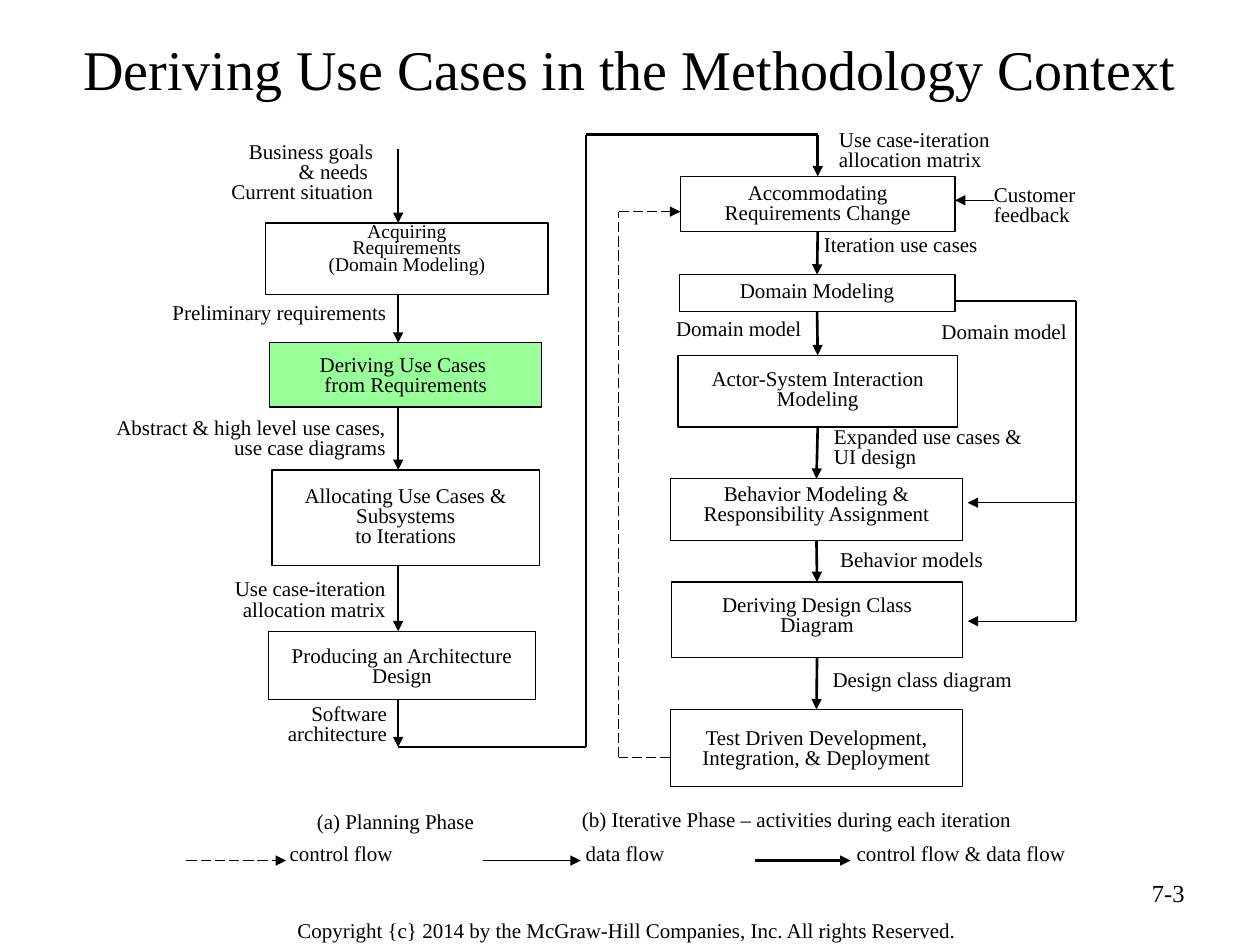
from lxml.etree import SubElement
from pptx import Presentation
from pptx.dml.color import RGBColor
from pptx.enum.dml import MSO_LINE
from pptx.enum.shapes import MSO_CONNECTOR, MSO_SHAPE
from pptx.enum.text import MSO_ANCHOR, PP_ALIGN
from pptx.oxml.ns import qn
from pptx.util import Inches, Pt

FONT = "Times New Roman"
BLACK, WHITE, GREEN = "000000", "FFFFFF", "99FF99"
LEFT, CENTER, RIGHT = PP_ALIGN.LEFT, PP_ALIGN.CENTER, PP_ALIGN.RIGHT
THIN, THICK = 0.75, 1.5
PLAN_X, ITER_X = 3.16, 6.49  # arrow axis of each phase
RETURN_X, LOOP_X, MODEL_X = 4.65, 4.91, 8.54  # vertical runs of the side routes

# text, left, top, width, height, top inset, fill, size, spacing
PLANNING = [
    ("Acquiring\nRequirements\n(Domain Modeling)", 2.11, 1.77, 2.24, 0.57, 0.02, WHITE, 11.1, 0.7),
    ("Deriving Use Cases \nfrom Requirements", 2.14, 2.72, 2.16, 0.51, 0.11, GREEN, 12, 0.8),
    ("Allocating Use Cases & Subsystems\nto Iterations", 2.16, 3.73, 2.12, 0.76, 0.14, WHITE, 12, 0.8),
    ("Producing an Architecture Design", 2.13, 5.01, 2.12, 0.54, 0.13, WHITE, 12, 0.8),
]
ITERATIVE = [
    ("Accommodating\nRequirements Change", 5.4, 1.4, 2.18, 0.44, 0.06, WHITE, 12, 0.8),
    ("Domain Modeling", 5.39, 2.18, 2.19, 0.29, 0.06, WHITE, 12, 0.8),
    ("Actor-System Interaction Modeling", 5.38, 2.82, 2.22, 0.57, 0.12, WHITE, 12, 0.8),
    ("Behavior Modeling &\nResponsibility Assignment", 5.32, 3.8, 2.32, 0.49, 0.05, WHITE, 12, 0.8),
    ("Deriving Design Class\nDiagram", 5.33, 4.62, 2.31, 0.6, 0.11, WHITE, 12, 0.8),
    ("Test Driven Development, Integration, & Deployment", 5.32, 5.63, 2.32, 0.61, 0.16, WHITE, 12, 0.8),
]
# text, left, top, width, height, alignment
LABELS = [
    ("Business goals\n& needs \nCurrent situation", 1.38, 1.09, 1.68, 0.76, RIGHT),
    ("Preliminary requirements", 1.27, 2.37, 1.94, 0.32, LEFT),
    ("Abstract & high level use cases, use case diagrams", 0.72, 3.28, 2.44, 0.53, RIGHT),
    ("Use case-iteration allocation matrix", 1.15, 4.56, 2.01, 0.55, RIGHT),
    ("Software architecture", 1.82, 5.55, 1.35, 0.53, RIGHT),
    ("Use case-iteration allocation matrix", 6.56, 0.99, 1.6, 0.55, LEFT),
    ("Customer\nfeedback", 7.79, 1.43, 1.18, 0.61, LEFT),
    ("Iteration use cases", 6.44, 1.83, 2.02, 0.35, LEFT),
    ("Domain model", 4.96, 2.49, 1.5, 0.28, RIGHT),
    ("Domain model", 7.22, 2.52, 1.5, 0.28, CENTER),
    ("Expanded use cases & UI design", 6.52, 3.35, 1.89, 0.54, LEFT),
    ("Behavior models", 6.57, 4.33, 1.4, 0.31, LEFT),
    ("Design class diagram", 6.51, 5.28, 2.57, 0.35, LEFT),
    ("(a) Planning Phase", 2.01, 6.41, 2.26, 0.35, CENTER),
    ("(b) Iterative Phase – activities during each iteration", 4.52, 6.39, 4.65, 0.35, LEFT),
]
# text, text left, line start, line end, width, dashed
LEGEND = [
    ("control flow", 2.2, 1.48, 2.27, THIN, True),
    ("data flow", 4.55, 3.83, 4.61, THIN, False),
    ("control flow & data flow", 6.7, 5.99, 6.75, THICK, False),
]


def color(hex_code):
    return RGBColor.from_string(hex_code)


def write(tf, text, align, size, spacing):
    tf.word_wrap = True
    tf.text = text
    for p in tf.paragraphs:
        p.alignment = align
        p.line_spacing = spacing
        for r in p.runs:
            r.font.name = FONT
            r.font.size = Pt(size)
            r.font.color.rgb = color(BLACK)


def add_label(s, text, x, y, w, h, align=LEFT, size=12, spacing=0.8):
    tf = s.shapes.add_textbox(Inches(x), Inches(y), Inches(w), Inches(h)).text_frame
    write(tf, text, align, size, spacing)
    return tf


def add_activity(s, text, x, y, w, h, inset, fill, size, spacing):
    sp = s.shapes.add_shape(MSO_SHAPE.RECTANGLE, Inches(x), Inches(y), Inches(w), Inches(h))
    sp.shadow.inherit = False
    sp.fill.solid()
    sp.fill.fore_color.rgb = color(fill)
    sp.line.color.rgb = color(BLACK)
    sp.line.width = Pt(THIN)
    tf = sp.text_frame
    tf.vertical_anchor = MSO_ANCHOR.TOP
    tf.margin_top = Inches(inset)
    tf.margin_left = tf.margin_right = Inches(0.08)
    write(tf, text, CENTER, size, spacing)
    return sp


def add_line(s, start, end, width=THIN, dashed=False, arrow=True):
    line = s.shapes.add_connector(MSO_CONNECTOR.STRAIGHT, *map(Inches, start + end))
    line.line.color.rgb = color(BLACK)
    line.line.width = Pt(width)
    if dashed:
        line.line.dash_style = MSO_LINE.LONG_DASH
    if arrow:
        SubElement(line.line._get_or_add_ln(), qn("a:tailEnd"), type="triangle")
    SubElement(line._element.spPr, qn("a:effectLst"))
    return line


def add_route(s, points, width=THIN, dashed=False):
    """Straight segments through the points, with an arrowhead at the last one."""
    last = len(points) - 2
    for i, (start, end) in enumerate(zip(points, points[1:])):
        line = add_line(s, start, end, width, dashed, arrow=i == last)
    return line


def add_planning_phase(s):
    for activity in PLANNING:
        add_activity(s, *activity)
    tops = [activity[2] for activity in PLANNING] + [5.93]
    bottoms = [1.18] + [activity[2] + activity[4] for activity in PLANNING]
    for start, end in zip(bottoms, tops):
        add_line(s, (PLAN_X, start), (PLAN_X, end), THICK)


def add_iterative_phase(s):
    boxes = [add_activity(s, *activity) for activity in ITERATIVE]
    for upper, lower in zip(boxes, boxes[1:]):
        line = add_line(s, (ITER_X, 0), (ITER_X, 0), THICK)
        line.begin_connect(upper, 2)
        line.end_connect(lower, 0)
    entry = add_route(s, [(PLAN_X, 5.93), (RETURN_X, 5.93), (RETURN_X, 1.07),
                          (ITER_X, 1.07), (ITER_X, 1.4)], THICK)
    entry.end_connect(boxes[0], 0)
    add_route(s, [(5.32, 6.01), (LOOP_X, 6.01), (LOOP_X, 1.68), (5.4, 1.68)], dashed=True)
    add_route(s, [(7.58, 2.39), (MODEL_X, 2.39), (MODEL_X, 4.93), (7.68, 4.93)])
    add_line(s, (MODEL_X, 3.99), (7.68, 3.99))
    add_line(s, (7.89, 1.59), (7.58, 1.59))


def add_legend(s):
    for text, x, start, end, width, dashed in LEGEND:
        add_line(s, (start, 6.83), (end, 6.83), width, dashed)
        add_label(s, text, x, 6.66, 2.5, 0.35)


def main():
    prs = Presentation()
    prs.slide_width, prs.slide_height = Inches(10), Inches(7.5)
    s = prs.slides.add_slide(prs.slide_layouts[6])
    title = add_label(s, "Deriving Use Cases in the Methodology Context",
                      0.5, 0.17, 9, 0.74, CENTER, 32, 1)
    title.vertical_anchor = MSO_ANCHOR.MIDDLE
    add_planning_phase(s)
    add_iterative_phase(s)
    for label in LABELS:
        add_label(s, *label)
    add_legend(s)
    add_label(s, "7-3", 7.17, 6.92, 2.33, 0.52, RIGHT, 14, 1)
    add_label(s, "Copyright {c} 2014 by the McGraw-Hill Companies, Inc. All rights Reserved.",
              1.88, 7.23, 6.19, 0.31, CENTER, 12, 1)
    prs.save("out.pptx")


if __name__ == "__main__":
    main()
